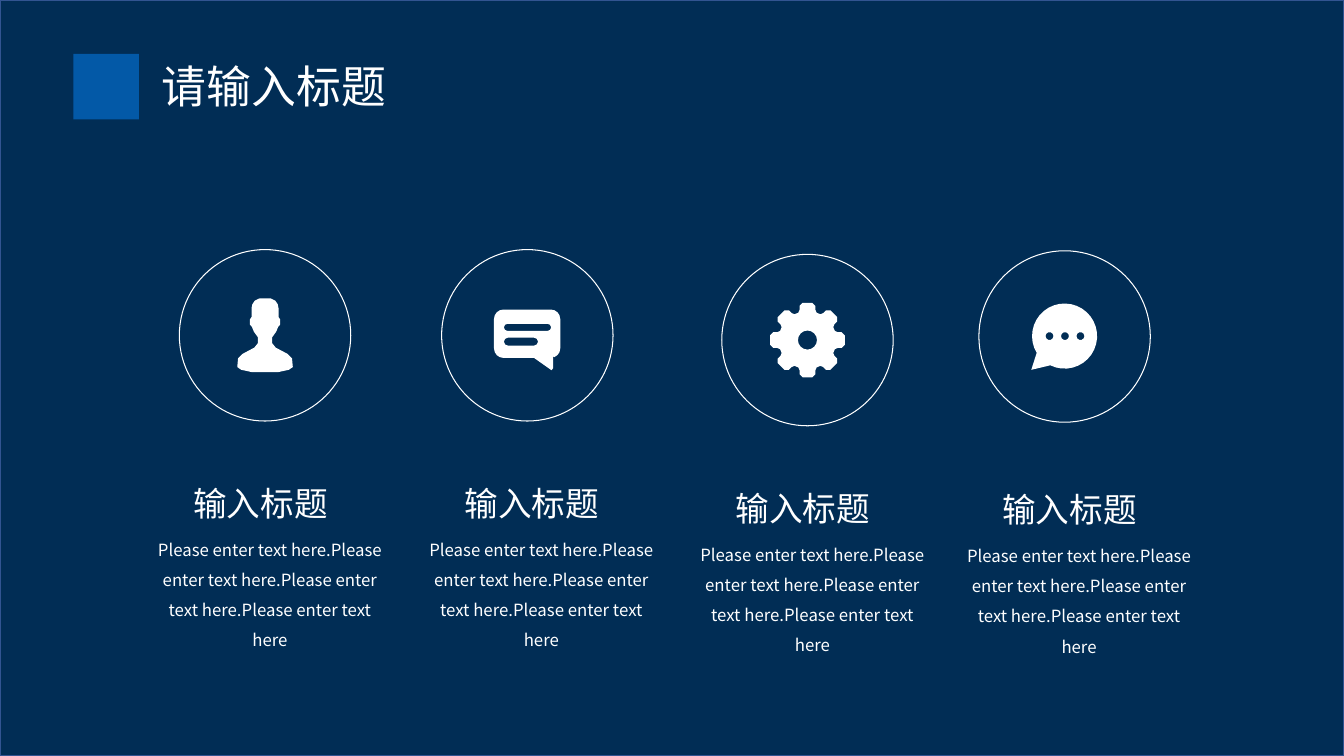
"""Build a dark title slide with four circled icons and their captions."""
from math import cos, pi, radians, sin

from lxml.etree import SubElement
from pptx import Presentation
from pptx.dml.color import RGBColor
from pptx.enum.shapes import MSO_SHAPE as Shape
from pptx.enum.text import MSO_AUTO_SIZE as AutoSize, PP_ALIGN as Align
from pptx.oxml.ns import qn
from pptx.util import Cm, Pt

WHITE, NAVY, BLUE, EDGE, GREY = "FFFFFF", "012D55", "0359A7", "325491", "BFBFBF"


def rgb(value):
    return RGBColor.from_string(value)


def arc(x, y, radius, start, end, steps):
    angles = [radians(start + (end - start) * i / steps) for i in range(steps + 1)]
    return [(x + radius * cos(a), y + radius * sin(a)) for a in angles]


def ring(x, y, radius, sides):
    return arc(x, y, radius, 0, 360, sides)[:-1]


def box(left, top, right, bottom, radius, steps):
    corners = [(left + radius, top + radius, 180), (right - radius, top + radius, 270),
               (right - radius, bottom - radius, 0), (left + radius, bottom - radius, 90)]
    return [point for x, y, start in corners
            for point in arc(x, y, radius, start, start + 90, steps)]


def person():
    half = [(0.14, -0.93), (0.26, -0.87), (0.32, -0.78), (0.34, -0.68), (0.34, -0.46),
            (0.38, -0.4), (0.38, -0.27), (0.33, -0.21), (0.28, -0.09), (0.18, 0.05),
            (0.18, 0.2), (0.27, 0.31), (0.57, 0.47), (0.68, 0.58), (0.7, 0.8),
            (0.6, 0.87), (0.32, 0.93)]
    return [half + [(-x, y) for x, y in reversed(half)]]


def message():
    tail = [(0.65, 0.53), (0.65, 0.83), (0.61, 0.88), (0.17, 0.57)]
    return [arc(-0.6, -0.41, 0.24, 180, 270, 4) + arc(0.59, -0.41, 0.24, 270, 360, 4)
            + arc(0.59, 0.33, 0.24, 0, 68, 3) + tail + arc(-0.6, 0.33, 0.24, 90, 180, 4),
            box(-0.59, 0.06, 0.27, 0.26, 0.1, 2), box(-0.59, -0.29, 0.6, -0.11, 0.09, 2)]


def gear():
    tooth = [(0.69, -0.23), (0.76, -0.2), (0.86, -0.2), (0.94, -0.12),
             (0.94, 0.12), (0.86, 0.2), (0.76, 0.2), (0.69, 0.23)]
    turns = [k * pi / 4 for k in range(8)]
    return [[(x * cos(a) - y * sin(a), x * sin(a) + y * cos(a))
             for a in turns for x, y in tooth], ring(0, 0, 0.24, 16)]


def chat():
    bubble = arc(0, -0.01, 0.82, 149, 476, 32) + [(-0.84, 0.84)]
    return [bubble] + [ring(0.01 + k * 0.39, -0.01, 0.1, 10) for k in (-1, 0, 1)]


class Deck:
    """Hold the font and the current slide, and draw each kind of element."""

    def __init__(self, font):
        self.font = font
        self.deck = Presentation()
        self.deck.slide_width, self.deck.slide_height = Cm(33.87), Cm(19.05)
        self.slide = self.deck.slides.add_slide(self.deck.slide_layouts[6])
        self.slide.background.fill.solid()
        self.slide.background.fill.fore_color.rgb = rgb(GREY)

    def paint(self, item, fill, line=None, weight=1):
        item.shadow.inherit = False
        if fill:
            item.fill.solid()
            item.fill.fore_color.rgb = rgb(fill)
        else:
            item.fill.background()
        if line:
            item.line.color.rgb = rgb(line)
            item.line.width = Pt(weight)
        else:
            item.line.fill.background()

    def shape(self, kind, left, top, width, height, fill=None, line=None, weight=1):
        item = self.slide.shapes.add_shape(kind, Cm(left), Cm(top), Cm(width), Cm(height))
        self.paint(item, fill, line, weight)

    def icon(self, x, y, contours):
        placed = [[(Cm(x + dx), Cm(y + dy)) for dx, dy in contour] for contour in contours]
        builder = self.slide.shapes.build_freeform(*placed[0][0])
        builder.add_line_segments(placed[0][1:])
        for hole in placed[1:]:
            builder.move_to(*hole[0])
            builder.add_line_segments(hole[1:])
        self.paint(builder.convert_to_shape(), WHITE)

    def text(self, words, left, top, width, height, size,
             align=Align.CENTER, spacing=None, wrap=True):
        frame = self.slide.shapes.add_textbox(
            Cm(left), Cm(top), Cm(width), Cm(height)).text_frame
        frame.word_wrap = wrap
        frame.auto_size = AutoSize.SHAPE_TO_FIT_TEXT
        paragraph = frame.paragraphs[0]
        paragraph.text = words
        paragraph.alignment = align
        if spacing:
            paragraph.line_spacing = spacing
        paragraph.font.size = Pt(size)
        paragraph.font.color.rgb = rgb(WHITE)
        paragraph.font.name = self.font
        defaults = paragraph._p.pPr.find(qn("a:defRPr"))
        SubElement(defaults, qn("a:ea")).set("typeface", self.font)

    def save(self):
        self.deck.save("out.pptx")


def main():
    deck = Deck("Noto Sans CJK SC")
    deck.shape(Shape.RECTANGLE, 0, 0, 33.87, 19.05, NAVY, EDGE)
    topics = [
        (person, 6.68, 8.45, 3.72, 12.04),
        (message, 13.29, 8.45, 10.56, 12.04),
        (gear, 20.35, 8.57, 17.39, 12.17),
        (chat, 26.83, 8.48, 24.11, 12.2),
    ]
    diameter = 4.32
    for icon, x, y, caption_left, caption_top in topics:
        deck.shape(Shape.OVAL, x - diameter / 2, y - diameter / 2, diameter, diameter,
                   line=WHITE, weight=0.75)
        deck.icon(x, y, icon())
        deck.text("Please enter text here.Please enter text here."
                  "Please enter text here.Please enter text here",
                  caption_left, caption_top + 1.17, 6.17, 2.57, 12, spacing=1.5)
        deck.text("输入标题", caption_left, caption_top, 5.69, 1.27, 24)
    deck.shape(Shape.RECTANGLE, 1.85, 1.36, 1.65, 1.65, BLUE)
    deck.text("请输入标题", 3.83, 1.36, 6.2, 1.63, 32, align=Align.LEFT, wrap=False)
    deck.save()


if __name__ == "__main__":
    main()
